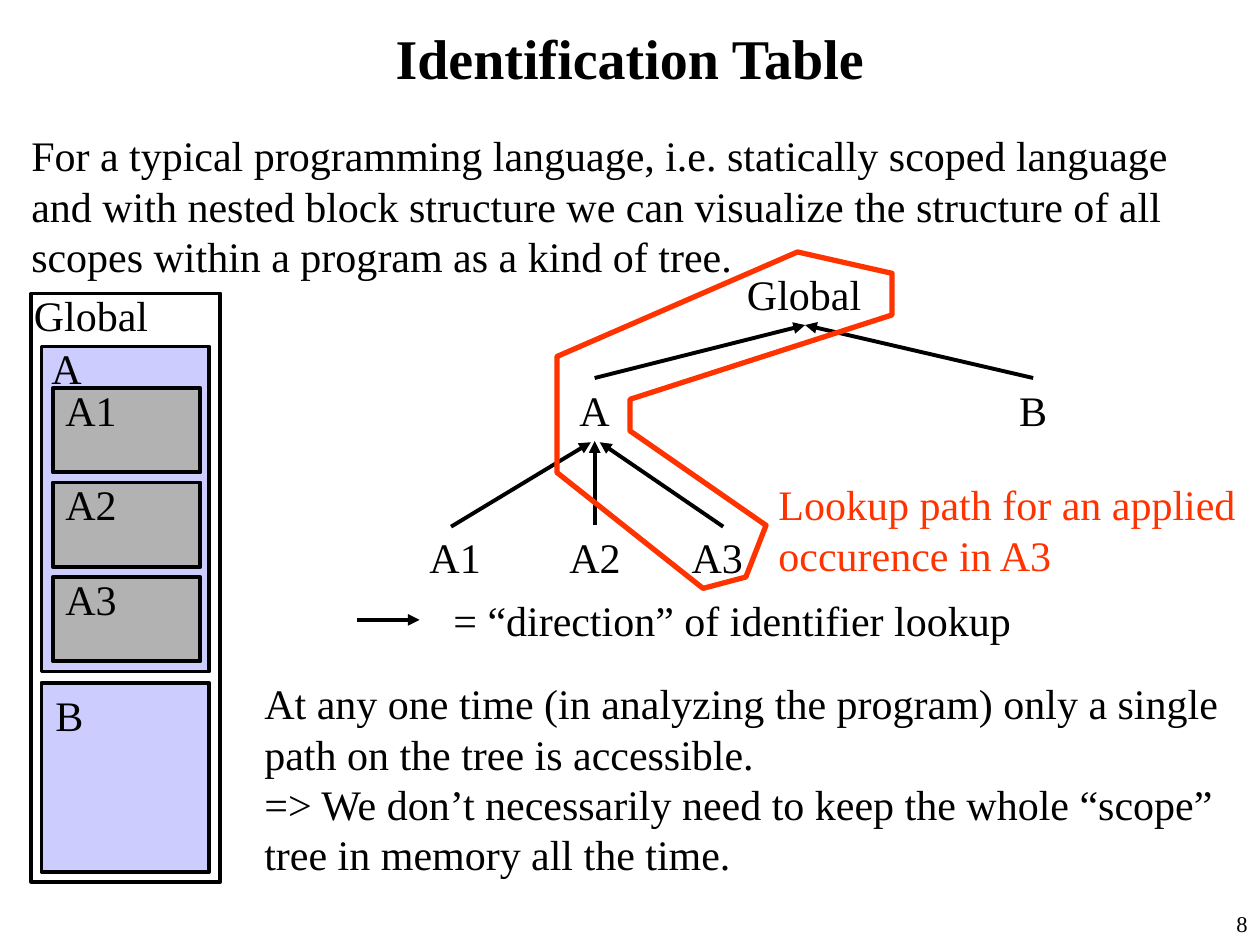
import pptx
import pptx.dml.color
import pptx.enum.shapes
import pptx.enum.text
import pptx.util
from pptx.util import Inches

FONT = "Times New Roman"
BLACK, RED, WHITE, LILAC, GRAY = "000000", "FF3300", "FFFFFF", "CCCCFF", "B2B2B2"

TITLE = "Identification Table"
PASSAGES = [
    (["For a typical programming language, i.e. statically scoped language and with "
      "nested block structure we can visualize the structure of all scopes within a "
      "program as a kind of tree."], (0.15, 0.98, 9.6, 1.3), BLACK),
    (["= “direction” of identifier lookup"], (3.5, 4.67, 5.83, 0.5), BLACK),
    (["Lookup path for an applied occurence in A3"], (6.08, 3.75, 3.83, 0.9), RED),
    (["At any one time (in analyzing the program) only a single path on the tree is "
      "accessible.",
      "=> We don’t necessarily need to keep the whole “scope” tree in memory all the "
      "time."], (2, 5.33, 7.83, 1.7), BLACK),
]
BLOCKS = [
    ("Global", (0.25, 2.33, 1.5, 4.67), WHITE, (0.17, 2.25)),
    ("A", (0.33, 2.75, 1.33, 2.58), LILAC, (0.31, 2.67)),
    ("B", (0.33, 5.42, 1.33, 1.5), LILAC, (0.34, 5.42)),
]
INNER_BLOCKS = ["A1", "A2", "A3"]
INNER_TOP, INNER_PITCH = 3.08, 0.75
LABEL_WIDTHS = {"Global": 1.11, "A": 0.44, "B": 0.42}
TREE_NODES = [
    ("Global", 5.83, 2.08), ("A", 4.5, 3), ("B", 7.99, 3),
    ("A1", 3.31, 4.17), ("A2", 4.42, 4.17), ("A3", 5.39, 4.17),
]
ARROWS = [
    ((4.72, 3), (6.39, 2.58)), ((8.2, 3), (6.39, 2.58)),
    ((3.58, 4.18), (4.69, 3.51)), ((4.72, 4.17), (4.72, 3.5)),
    ((5.74, 4.18), (4.76, 3.51)), ((2.83, 4.92), (3.33, 4.92)),
]
LOOKUP_PATH = [
    (5.92, 4.58), (6.08, 4.17), (5, 3.42), (5, 3.17), (7.08, 2.5),
    (7.08, 2.17), (6.33, 2), (4.42, 2.83), (4.42, 3.75), (5.58, 4.67),
]


def rgb(value):
    """Turn a hex string into a colour."""
    return pptx.dml.color.RGBColor.from_string(value)


def style(paragraph, size, color=BLACK, bold=False):
    """Set the font of a paragraph."""
    font = paragraph.font
    font.name, font.size, font.bold = FONT, pptx.util.Pt(size), bold
    font.color.rgb = rgb(color)


def add_text(slide, lines, box, color=BLACK, size=24, wrap=True):
    """Add a text box with one paragraph per line."""
    frame = slide.shapes.add_textbox(*map(Inches, box)).text_frame
    frame.word_wrap = wrap
    frame.text = "\n".join(lines)
    for paragraph in frame.paragraphs:
        style(paragraph, size, color)
    return frame


def add_label(slide, name, left, top):
    """Add the name of a scope."""
    box = (left, top, LABEL_WIDTHS.get(name, 0.61), 0.5)
    add_text(slide, [name], box, wrap=False)


def add_block(slide, name, box, fill, label_at):
    """Add a scope as a named rectangle."""
    block = slide.shapes.add_shape(
        pptx.enum.shapes.MSO_SHAPE.RECTANGLE, *map(Inches, box))
    block.shadow.inherit = False
    block.fill.solid()
    block.fill.fore_color.rgb = rgb(fill)
    block.line.color.rgb = rgb(BLACK)
    block.line.width = pptx.util.Pt(2.25)
    add_label(slide, name, *label_at)


def add_arrow(slide, start, end):
    """Add a line with an arrowhead at its end."""
    arrow = slide.shapes.add_connector(
        pptx.enum.shapes.MSO_CONNECTOR.STRAIGHT, *map(Inches, start + end))
    arrow.line.color.rgb = rgb(BLACK)
    arrow.line.width = pptx.util.Pt(2.25)
    head = pptx.oxml.parse_xml(
        f'<a:tailEnd {pptx.oxml.ns.nsdecls("a")} type="triangle"/>')
    arrow.line._get_or_add_ln().append(head)
    arrow._element.spPr.append(
        pptx.oxml.parse_xml(f'<a:effectLst {pptx.oxml.ns.nsdecls("a")}/>'))


def add_lookup_path(slide):
    """Outline the path from A3 up to the global scope."""
    builder = slide.shapes.build_freeform(
        *map(Inches, LOOKUP_PATH[0]), scale=1.0)
    builder.add_line_segments(
        [tuple(map(Inches, point)) for point in LOOKUP_PATH[1:]], close=True)
    outline = builder.convert_to_shape()
    outline.shadow.inherit = False
    outline.fill.background()
    outline.line.color.rgb = rgb(RED)
    outline.line.width = pptx.util.Pt(3)


def main():
    """Build the slide and save it."""
    deck = pptx.Presentation()
    deck.slide_width, deck.slide_height = Inches(10), Inches(7.5)
    slide = deck.slides.add_slide(deck.slide_layouts[5])

    title = slide.shapes.title
    title.left, title.top, title.width, title.height = map(
        Inches, (0.25, 0.08, 9.5, 0.75))
    title.text_frame.text = TITLE
    style(title.text_frame.paragraphs[0], 32, bold=True)

    for block in BLOCKS:
        add_block(slide, *block)
    for row, name in enumerate(INNER_BLOCKS):
        top = INNER_TOP + row * INNER_PITCH
        add_block(slide, name, (0.42, top, 1.17, 0.67), GRAY, (0.42, top - 0.08))
    for node in TREE_NODES:
        add_label(slide, *node)
    for start, end in ARROWS:
        add_arrow(slide, start, end)
    for lines, box, color in PASSAGES:
        add_text(slide, lines, box, color)
    add_lookup_path(slide)

    number = add_text(slide, ["8"], (9.25, 7.17, 0.75, 0.33), size=12.9)
    number.paragraphs[0].alignment = pptx.enum.text.PP_ALIGN.RIGHT
    deck.save("out.pptx")


if __name__ == "__main__":
    main()
